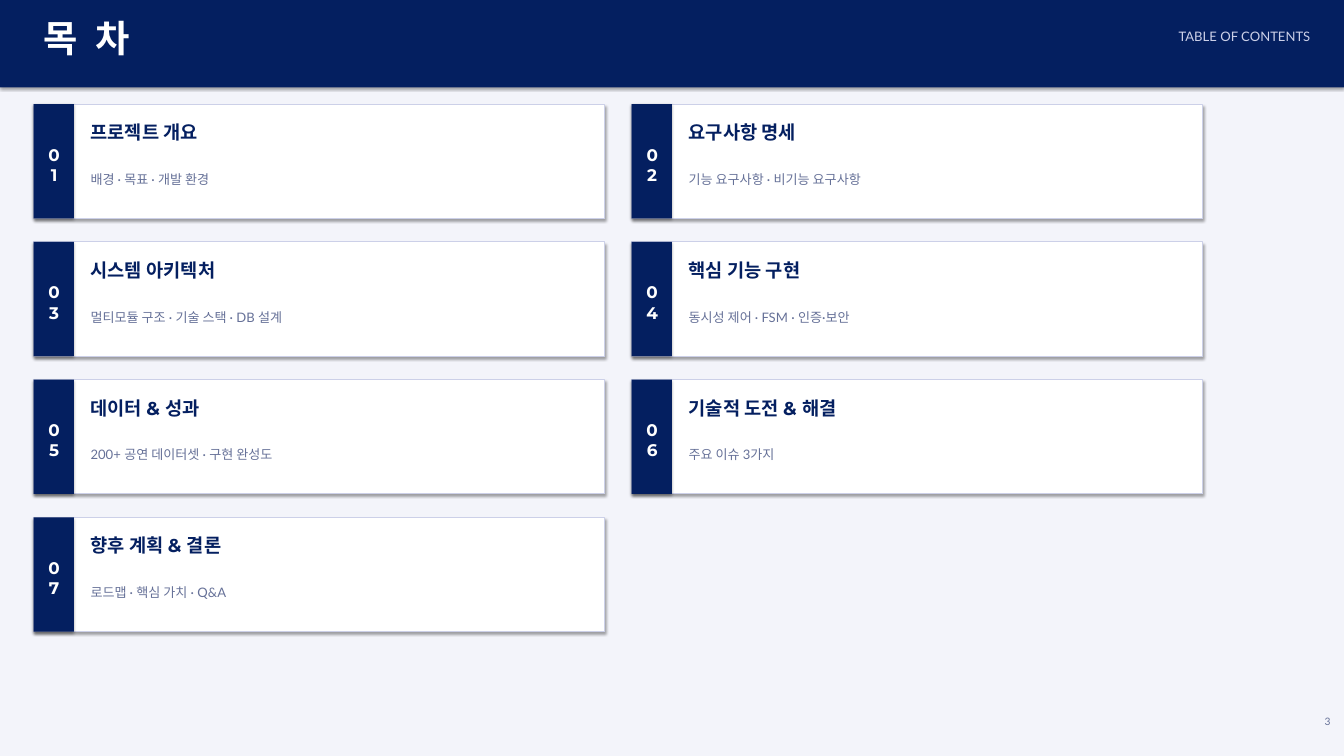
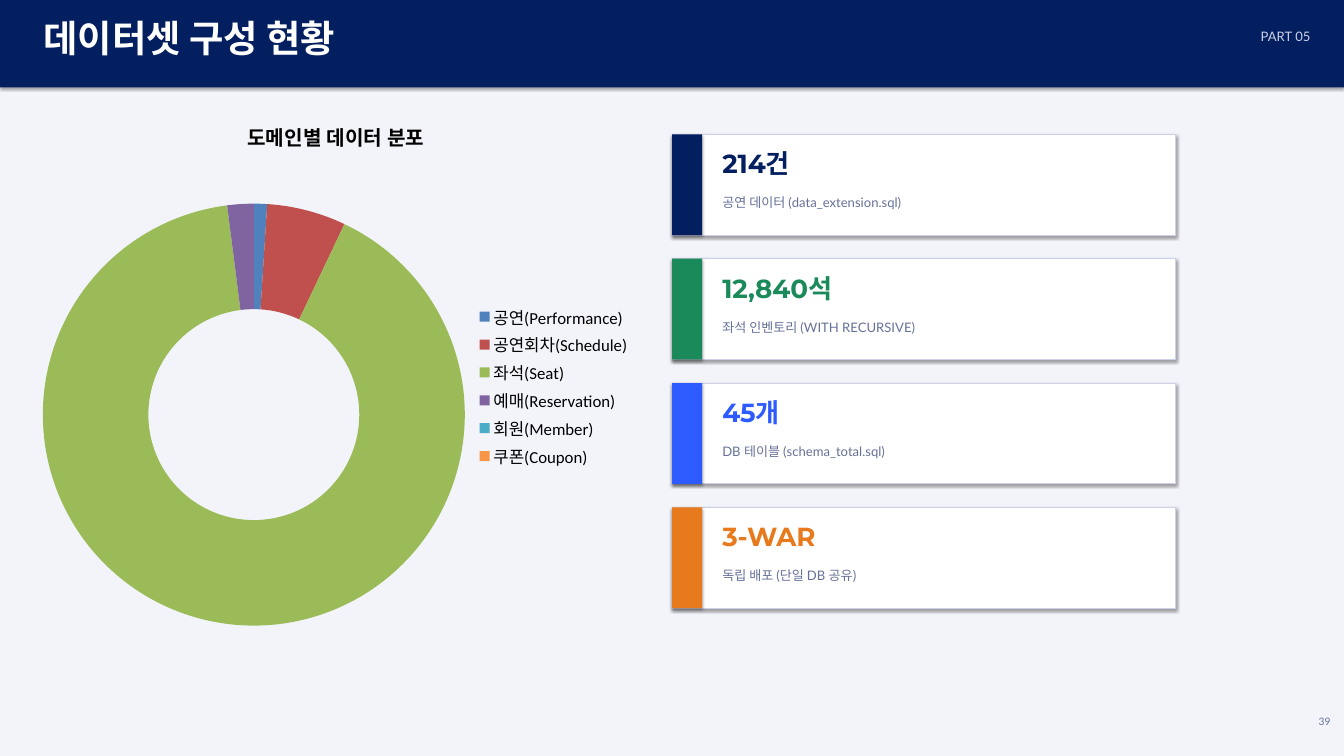
from dataclasses import dataclass
from typing import NamedTuple

from pptx import Presentation
from pptx import util as u
from pptx.chart import data as cd
from pptx.dml import color
from pptx.enum import chart as ch, shapes, text

COLS, ROWS = 200, 112.5
CELL = u.Inches(0.1)


@dataclass(frozen=True)
class Theme:
    navy: str = "041F60"
    white: str = "FFFFFF"
    page: str = "F3F4FA"
    pale: str = "CCD0E8"
    muted: str = "667198"
    green: str = "1B8A5A"
    blue: str = "2E5BFF"
    orange: str = "E87A1E"
    black: str = "000000"
    slices: tuple = ("4F81BD", "C0504D", "9BBB59", "8064A2", "4BACC6", "F79646")
    head: str = "Montserrat"
    body: str = "Lato"
    chart: str = "Calibri"
    title_size: float = 40
    figure_size: float = 28
    heading_size: float = 20
    number_size: float = 18
    note_size: float = 14
    page_size: float = 11
    chart_size: float = 18
    chart_title_size: float = 21.6


T = Theme()


class Box(NamedTuple):
    x: float
    y: float
    w: float
    h: float

    def inner(self, x, y, w, h):
        return Box(self.x + x, self.y + y, w, h)

    def emu(self):
        return [int(n * CELL) for n in self]


SLIDE = Box(0, 0, COLS, ROWS)
BAND = Box(0, 0, COLS, 13)


def rgb(value):
    return color.RGBColor.from_string(value)


def set_font(font, name, size, fill, bold=False):
    for key, value in dict(name=name, size=u.Pt(size), bold=bold).items():
        setattr(font, key, value)
    font.color.rgb = rgb(fill)


def write(sp, words, name, size, fill, bold=False, align=text.PP_ALIGN.LEFT):
    tf = sp.text_frame
    frame = dict(word_wrap=True, vertical_anchor=text.MSO_ANCHOR.TOP,
                 auto_size=text.MSO_AUTO_SIZE.SHAPE_TO_FIT_TEXT)
    for key, value in frame.items():
        setattr(tf, key, value)
    p = tf.paragraphs[0]
    p.alignment = align
    r = p.add_run()
    r.text = words
    set_font(r.font, name, size, fill, bold)
    return r


def add_text(s, box, *args, **kwargs):
    return write(s.shapes.add_textbox(*box.emu()), *args, **kwargs)


def add_panel(s, box, fill, line=None):
    sp = s.shapes.add_shape(shapes.MSO_SHAPE.RECTANGLE, *box.emu())
    sp.fill.solid()
    sp.fill.fore_color.rgb = rgb(fill)
    if line:
        sp.line.color.rgb = rgb(line)
        sp.line.width = u.Pt(1)
    else:
        sp.line.fill.background()
    return sp


def add_header(s, box, title, tag, spacing):
    band = add_panel(s, box, T.navy)
    sp = s.shapes.title
    band._element.addnext(sp._element)
    place = box.inner(5.5, 1.8, 140, 9.5).emu()
    for key, value in zip(("left", "top", "width", "height"), place):
        setattr(sp, key, value)
    r = write(sp, title, T.head, T.title_size, T.white, True)
    if spacing:
        r._r.get_or_add_rPr().set("spc", str(spacing))
    add_text(s, box.inner(158, 3.8, 38, 6), tag, T.body, T.note_size, T.pale,
             align=text.PP_ALIGN.RIGHT)


def add_page(s, box, number):
    add_text(s, box.inner(193, 106, 6, 4), number, T.body, T.page_size, T.muted,
             align=text.PP_ALIGN.RIGHT)


def new_slide(prs, title, tag, number, spacing=0):
    s = prs.slides.add_slide(prs.slide_layouts[5])
    s.background.fill.solid()
    s.background.fill.fore_color.rgb = rgb(T.page)
    add_header(s, BAND, title, tag, spacing)
    add_page(s, SLIDE, number)
    return s


def add_card(s, box, strip, fill):
    add_panel(s, box, T.white, T.pale)
    add_panel(s, box._replace(w=strip), fill)


def add_topic(s, box, number, heading, note):
    add_card(s, box, 6, T.navy)
    add_text(s, box.inner(0.8, 5.5, 4.5, 6), number, T.head, T.number_size,
             T.white, True, text.PP_ALIGN.CENTER)
    add_text(s, box.inner(7.5, 2, 76, 6.5), heading, T.head, T.heading_size, T.navy, True)
    add_text(s, box.inner(7.5, 9.5, 76, 5.5), note, T.body, T.note_size, T.muted)


def add_figure(s, box, figure, note, fill):
    add_card(s, box, 4.5, fill)
    add_text(s, box.inner(6.5, 1.5, 65, 6.5), figure, T.head, T.figure_size, fill, True)
    add_text(s, box.inner(6.5, 8.5, 65, 4.5), note, T.body, T.note_size, T.muted)


def add_doughnut(s, box, title, shares):
    data = cd.CategoryChartData()
    data.categories = list(shares)
    data.add_series("Series 1", list(shares.values()))
    chart = s.shapes.add_chart(ch.XL_CHART_TYPE.DOUGHNUT, *box.emu(), data).chart
    set_font(chart.font, T.chart, T.chart_size, T.black)
    chart.has_title = True
    tf = chart.chart_title.text_frame
    tf.text = title
    set_font(tf.paragraphs[0].runs[0].font, T.chart, T.chart_title_size, T.black, True)
    chart.has_legend = True
    chart.legend.position = ch.XL_LEGEND_POSITION.RIGHT
    chart.legend.include_in_layout = False
    plot = chart.plots[0]
    plot.vary_by_categories = True
    for i, value in enumerate(T.slices):
        fill = plot.series[0].points[i].format.fill
        fill.solid()
        fill.fore_color.rgb = rgb(value)


def contents_slide(prs):
    s = new_slide(prs, "목 차", "TABLE OF CONTENTS", "3", spacing=500)
    topics = [
        ("프로젝트 개요", "배경 · 목표 · 개발 환경"),
        ("요구사항 명세", "기능 요구사항 · 비기능 요구사항"),
        ("시스템 아키텍처", "멀티모듈 구조 · 기술 스택 · DB 설계"),
        ("핵심 기능 구현", "동시성 제어 · FSM · 인증·보안"),
        ("데이터 & 성과", "200+ 공연 데이터셋 · 구현 완성도"),
        ("기술적 도전 & 해결", "주요 이슈 3가지"),
        ("향후 계획 & 결론", "로드맵 · 핵심 가치 · Q&A"),
    ]
    first = Box(5, 15.5, 85, 17)
    for i, (heading, note) in enumerate(topics):
        row, col = divmod(i, 2)
        box = first.inner(col * 89, row * 20.5, first.w, first.h)
        add_topic(s, box, f"{i + 1:02}", heading, note)


def dataset_slide(prs):
    s = new_slide(prs, "데이터셋 구성 현황", "PART 05", "39")
    shares = {
        "공연(Performance)": 1,
        "공연회차(Schedule)": 6,
        "좌석(Seat)": 90,
        "예매(Reservation)": 2,
        "회원(Member)": 0,
        "쿠폰(Coupon)": 0,
    }
    add_doughnut(s, Box(5, 15, 90, 85), "도메인별 데이터 분포", shares)
    figures = [
        ("214건", "공연 데이터 (data_extension.sql)", T.navy),
        ("12,840석", "좌석 인벤토리 (WITH RECURSIVE)", T.green),
        ("45개", "DB 테이블 (schema_total.sql)", T.blue),
        ("3-WAR", "독립 배포 (단일 DB 공유)", T.orange),
    ]
    first = Box(100, 20, 75, 15)
    for i, figure in enumerate(figures):
        add_figure(s, first.inner(0, i * 18.5, first.w, first.h), *figure)


def main():
    prs = Presentation()
    prs.slide_width, prs.slide_height = SLIDE.emu()[2:]
    contents_slide(prs)
    dataset_slide(prs)
    prs.save("out.pptx")


if __name__ == "__main__":
    main()
